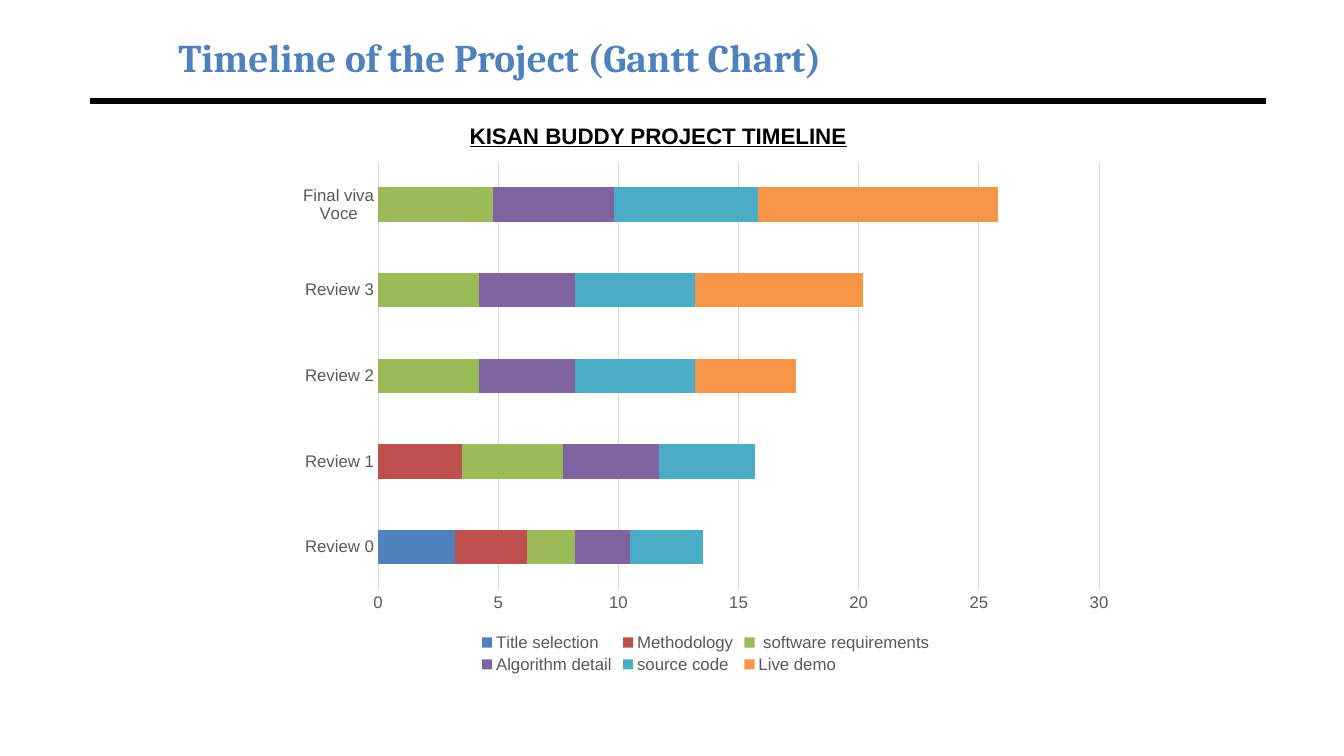
from lxml import etree
from pptx import Presentation
from pptx.chart.data import CategoryChartData
from pptx.dml.color import RGBColor
from pptx.enum import chart as ch, shapes, text
from pptx.oxml.ns import qn
from pptx.util import Inches, Pt

COLORS = {
    "title": "4F81BD",
    "black": "000000",
    "label": "595959",
    "grid": "D9D9D9",
}
REVIEWS = ["Review 0", "Review 1", "Review 2", "Review 3", "Final viva Voce"]
TASKS = [
    ("Title selection", (3.2, 0, 0, 0, 0), "4F81BD"),
    ("Methodology", (3, 3.5, 0, 0, 0), "C0504D"),
    (" software requirements", (2, 4.2, 4.2, 4.2, 4.8), "9BBB59"),
    ("Algorithm detail", (2.3, 4, 4, 4, 5), "8064A2"),
    ("source code", (3, 4, 5, 5, 6), "4BACC6"),
    ("Live demo", (0, 0, 4.2, 7, 10), "F79646"),
]


def rgb(name):
    return RGBColor.from_string(COLORS[name])


def style_font(font, name, size, color, bold=False):
    font.name = name
    font.size = Pt(size)
    font.bold = bold
    font.color.rgb = rgb(color)


def style_line(line, color, width):
    line.color.rgb = rgb(color)
    line.width = Pt(width)


def set_title(page, words):
    title = page.shapes.title
    title.left, title.top = Inches(1.67), Inches(0.3)
    title.width, title.height = Inches(11.66), Inches(0.53)
    frame = title.text_frame
    frame.text = words
    frame.auto_size = text.MSO_AUTO_SIZE.NONE
    frame.vertical_anchor = text.MSO_ANCHOR.MIDDLE
    para = frame.paragraphs[0]
    para.alignment = text.PP_ALIGN.LEFT
    style_font(para.runs[0].font, "Cambria", 28, "title", bold=True)


def add_rule(page):
    rule = page.shapes.add_connector(
        shapes.MSO_CONNECTOR.STRAIGHT,
        Inches(0.89), Inches(1), Inches(12.56), Inches(1))
    style_line(rule.line, "black", 4.5)
    etree.SubElement(rule._element.spPr, qn("a:effectLst"))


def add_heading(page, words):
    box = page.shapes.add_textbox(
        Inches(4.56), Inches(1.16), Inches(4.21), Inches(0.37))
    frame = box.text_frame
    frame.word_wrap = True
    frame.text = words
    span = frame.paragraphs[0].runs[0]
    style_font(span.font, "Arial", 16, "black", bold=True)
    span.font.underline = True


def style_axis(axis):
    axis.major_tick_mark = ch.XL_TICK_MARK.NONE
    axis.minor_tick_mark = ch.XL_TICK_MARK.NONE
    style_font(axis.tick_labels.font, "Arial", 12, "label")


def add_timeline(page):
    data = CategoryChartData()
    data.categories = REVIEWS
    for name, values, _ in TASKS:
        data.add_series(name, values)
    chart = page.shapes.add_chart(
        ch.XL_CHART_TYPE.BAR_STACKED, Inches(2.84), Inches(1.5),
        Inches(8.32), Inches(5.22), data).chart
    chart.has_title = False
    style_font(chart.font, "Arial", 10, "black")

    plot = chart.plots[0]
    plot.gap_width, plot.overlap = 150, 100
    plot.vary_by_categories = False
    for series, (_, _, color) in zip(plot.series, TASKS):
        series.format.fill.solid()
        series.format.fill.fore_color.rgb = RGBColor.from_string(color)

    style_axis(chart.category_axis)
    style_line(chart.category_axis.format.line, "grid", 0.75)
    value_axis = chart.value_axis
    style_axis(value_axis)
    value_axis.minimum_scale, value_axis.maximum_scale = 0, 30
    value_axis.major_unit = 5
    value_axis.format.line.fill.background()
    value_axis.has_major_gridlines = True
    style_line(value_axis.major_gridlines.format.line, "grid", 0.75)

    chart.has_legend = True
    chart.legend.position = ch.XL_LEGEND_POSITION.BOTTOM
    chart.legend.include_in_layout = False
    style_font(chart.legend.font, "Arial", 12, "label")


def main():
    deck = Presentation()
    deck.slide_width, deck.slide_height = Inches(13.33), Inches(7.5)
    title_only = deck.slide_layouts[5]
    page = deck.slides.add_slide(title_only)
    add_rule(page)
    set_title(page, "Timeline of the Project (Gantt Chart)")
    add_timeline(page)
    add_heading(page, "KISAN BUDDY PROJECT TIMELINE")
    deck.save("out.pptx")


if __name__ == "__main__":
    main()
